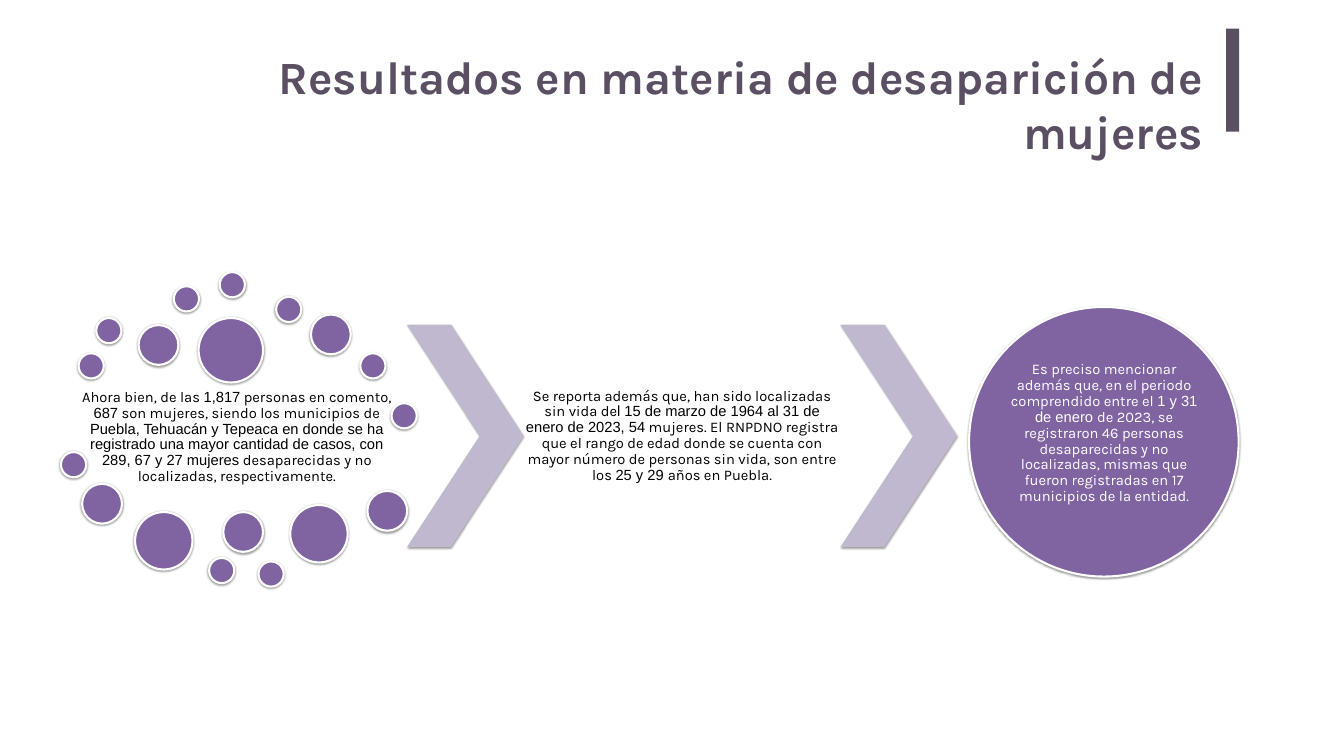
import pptx
import pptx.util
import pptx.dml.color
import pptx.enum.shapes
import pptx.enum.text
import lxml.etree
from dataclasses import dataclass

Inches, Pt = pptx.util.Inches, pptx.util.Pt
SHAPE = pptx.enum.shapes.MSO_SHAPE
ALIGN = pptx.enum.text.PP_ALIGN
ANCHOR = pptx.enum.text.MSO_ANCHOR


@dataclass(frozen=True)
class Theme:
    title: str = "5B4F63"
    bubble: str = "8064A2"
    arrow: str = "C0B8CE"
    dark: str = "000000"
    light: str = "FFFFFF"
    font: str = "Karla"
    alt_font: str = "Arial"
    title_size: int = 66
    body_size: int = 21


THEME = Theme()

TITLE = ["Resultados en materia de desaparición de mujeres"]

# Runs alternate between the main font and the second font.
MUNICIPALITIES = [
    "Ahora bien, de las ", "1,817", " personas en comento, ", "687",
    " son mujeres, siendo los municipios de ",
    "Puebla, Tehuacán y Tepeaca en donde se ha registrado una mayor "
    "cantidad de casos, con 289, 67 y 27 mujeres",
    " desaparecidas y no localizadas, respectivamente.",
]
FOUND = [
    "Se reporta además que, han sido localizadas sin vida de",
    "l 15 de marzo de 1964 al 31 de enero de 2023, 54",
    " mujeres. El RNPDNO registra que el rango de edad donde se cuenta con "
    "mayor número de personas sin vida, son entre los ",
    "25 y 29 ", "años en Puebla.",
]
JANUARY = [
    "Es preciso mencionar además que, en el periodo comprendido entre el ",
    "1 y 31 de enero ",
    "de 2023, se registraron 46 personas desaparecidas y no localizadas, "
    "mismas que fueron registradas en 17 municipios de la entidad.",
]

# Bubble diameter: (left, top) of each bubble
BUBBLES = {
    0.5: [(1.56, 7.01), (1.91, 6.31), (3.45, 5.68), (4.36, 5.4),
          (5.48, 5.89), (7.15, 7.01), (7.77, 8), (1.21, 8.97),
          (4.15, 11.07), (5.13, 11.14)],
    0.79: [(2.75, 6.45), (6.17, 6.24), (1.63, 9.6), (4.43, 10.16),
           (7.29, 9.74)],
    1.14: [(2.68, 10.16), (5.76, 10.02)],
    1.28: [(3.94, 6.31)],
}
ROW_TOP, ROW_HEIGHT = 6.45, 4.4
ARROW_WIDTH, ARROW_LEFTS = 2.31, (8.08, 16.68)


def rgb(value):
    return pptx.dml.color.RGBColor.from_string(value)


def add_shadow(sp):
    """Give the shape a soft shadow that falls straight down."""
    ns = "{http://schemas.openxmlformats.org/drawingml/2006/main}"
    effects = sp._element.spPr.find(ns + "effectLst")
    outer = lxml.etree.SubElement(
        effects, ns + "outerShdw", blurRad=str(Pt(3.1)), dist=str(Pt(1.6)),
        dir="5400000", rotWithShape="0")
    color = lxml.etree.SubElement(outer, ns + "srgbClr", val=THEME.dark)
    lxml.etree.SubElement(color, ns + "alpha", val="38000")


def add_shape(slide, kind, box, fill, outlined=False, shadow=True):
    sp = slide.shapes.add_shape(kind, *map(Inches, box))
    sp.fill.solid()
    sp.fill.fore_color.rgb = rgb(fill)
    if outlined:
        sp.line.color.rgb = rgb(THEME.light)
        sp.line.width = Pt(3)
    else:
        sp.line.fill.background()
    sp.shadow.inherit = False
    if shadow:
        add_shadow(sp)
    return sp


def add_text(slide, runs, box, size=THEME.body_size, color=THEME.dark,
             bold=False, align=ALIGN.CENTER, anchor=ANCHOR.MIDDLE,
             spacing=0.9, insets=(0.03, 0.03, 0.03, 0.03)):
    """Add a text box; insets are left, top, right, bottom."""
    tf = slide.shapes.add_textbox(*map(Inches, box)).text_frame
    tf.word_wrap = True
    tf.vertical_anchor = anchor
    (tf.margin_left, tf.margin_top,
     tf.margin_right, tf.margin_bottom) = map(Inches, insets)
    p = tf.paragraphs[0]
    p.alignment = align
    p.line_spacing = spacing
    for i, text in enumerate(runs):
        r = p.add_run()
        r.text = text
        r.font.name = THEME.alt_font if i % 2 else THEME.font
        r.font.size = Pt(size)
        r.font.bold = bold
        r.font.color.rgb = rgb(color)


def main():
    prs = pptx.Presentation()
    prs.slide_width, prs.slide_height = Inches(26.67), Inches(15)
    slide = prs.slides.add_slide(prs.slide_layouts[6])

    add_shape(slide, SHAPE.RECTANGLE, (24.33, 0.57, 0.26, 2.04), THEME.title,
              shadow=False)
    add_text(slide, TITLE, (2.59, 0.86, 21.48, 2.04), size=THEME.title_size,
             color=THEME.title, bold=True, align=ALIGN.RIGHT,
             anchor=ANCHOR.TOP, spacing=1.0, insets=(0.2, 0.1, 0.2, 0.1))

    add_text(slide, MUNICIPALITIES, (1.56, 7.64, 6.28, 2.07))
    for size, places in BUBBLES.items():
        for left, top in places:
            add_shape(slide, SHAPE.OVAL, (left, top, size, size),
                      THEME.bubble, outlined=True)

    for left in ARROW_LEFTS:
        arrow = add_shape(slide, SHAPE.CHEVRON,
                          (left, ROW_TOP, ARROW_WIDTH, ROW_HEIGHT),
                          THEME.arrow)
        arrow.adjustments[0] = 0.623
    found_left = ARROW_LEFTS[0] + ARROW_WIDTH
    add_text(slide, FOUND, (found_left, ROW_TOP,
                            ARROW_LEFTS[1] - found_left, ROW_HEIGHT))

    add_shape(slide, SHAPE.OVAL, (19.23, 6.09, 5.35, 5.35), THEME.bubble,
              outlined=True)
    add_text(slide, JANUARY, (20.02, 6.87, 3.78, 3.78), color=THEME.light,
             insets=(0, 0, 0, 0.32))

    prs.save("out.pptx")


if __name__ == "__main__":
    main()
